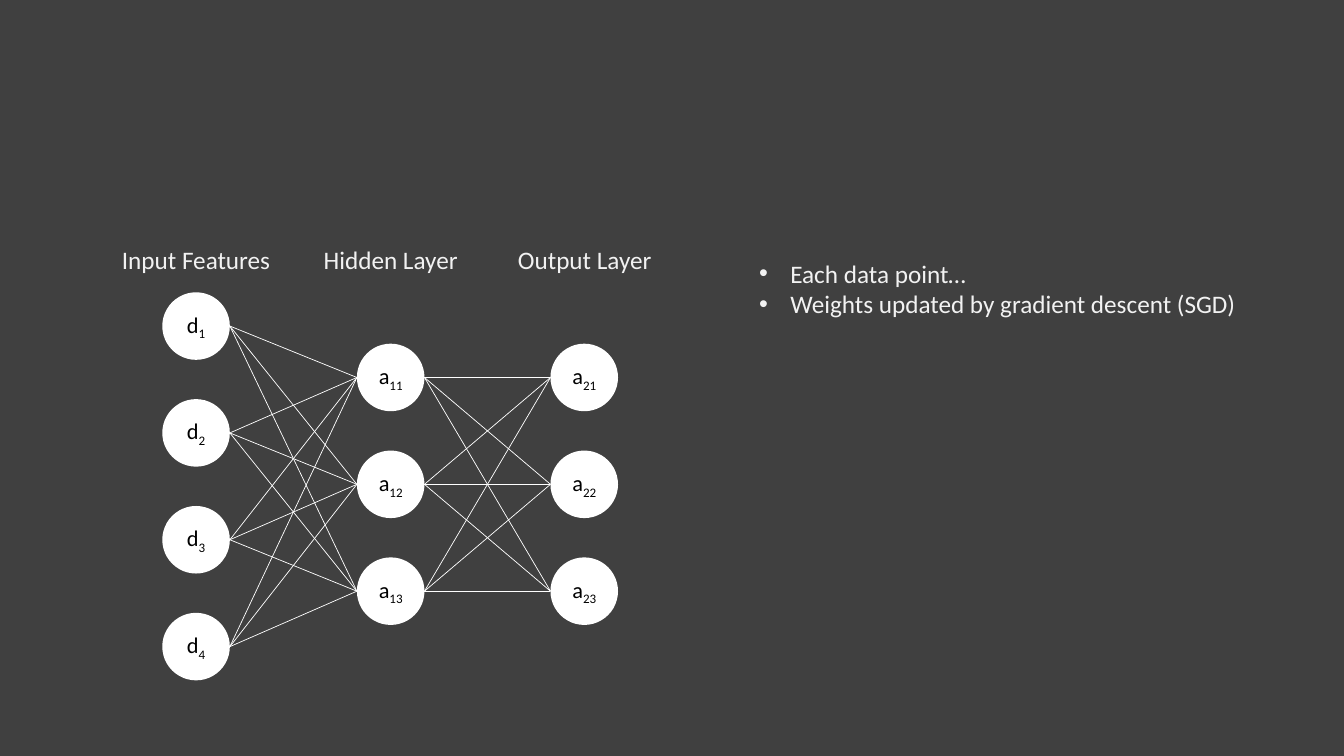
import itertools

import pptx
import pptx.dml.color
import pptx.enum.shapes
import pptx.enum.text
import pptx.oxml.xmlchemy
import pptx.util

CHARCOAL = pptx.dml.color.RGBColor(0x40, 0x40, 0x40)
WHITE = pptx.dml.color.RGBColor(0xFF, 0xFF, 0xFF)
BLACK = pptx.dml.color.RGBColor(0x00, 0x00, 0x00)
PALE = pptx.dml.color.RGBColor(0xF2, 0xF2, 0xF2)

NODE = 0.67
NODE_PITCH = 1.06
LABEL_TOP = 2.37
LABEL_HEIGHT = 0.4
BULLET_INDENT = pptx.util.Inches(0.31)

# heading, heading left, heading width, node left, first node top, node letter, subscripts
LAYERS = [
    ("Input Features", 1.1, 1.69, 1.61, 2.9, "d", ["1", "2", "3", "4"]),
    ("Hidden Layer", 3.1, 1.55, 3.54, 3.41, "a", ["11", "12", "13"]),
    ("Output Layer", 5.03, 1.54, 5.46, 3.41, "a", ["21", "22", "23"]),
]
NOTES = ["Each data point…", "Weights updated by gradient descent (SGD)"]


def add_run(paragraph, text, size, color):
    run = paragraph.add_run()
    run.text = text
    formats = {"name": "Calibri", "size": pptx.util.Pt(size)}
    for attribute, value in formats.items():
        setattr(run.font, attribute, value)
    run.font.color.rgb = color
    return run


def add_label(*box):
    """Add an empty unwrapped text box at left, top, width, height; return its text frame."""
    frame = slide.shapes.add_textbox(*map(pptx.util.Inches, box)).text_frame
    frame.word_wrap = False
    return frame


deck = pptx.Presentation()
deck.slide_width = pptx.util.Inches(13.33)
deck.slide_height = pptx.util.Inches(7.5)
slide = deck.slides.add_slide(deck.slide_layouts[6])
slide.background.fill.solid()
slide.background.fill.fore_color.rgb = CHARCOAL

# Neurons, one column per layer
columns = []
for _, _, _, left, first_top, letter, subscripts in LAYERS:
    column = []
    for row, subscript in enumerate(subscripts):
        top = first_top + row * NODE_PITCH
        neuron = slide.shapes.add_shape(
            pptx.enum.shapes.MSO_SHAPE.OVAL,
            *map(pptx.util.Inches, (left, top, NODE, NODE)),
        )
        neuron.shadow.inherit = False
        neuron.fill.solid()
        neuron.fill.fore_color.rgb = WHITE
        neuron.line.fill.background()
        neuron.text_frame.word_wrap = False
        neuron.text_frame.vertical_anchor = pptx.enum.text.MSO_ANCHOR.MIDDLE
        symbol = neuron.text_frame.paragraphs[0]
        symbol.alignment = pptx.enum.text.PP_ALIGN.CENTER
        add_run(symbol, letter, 16, BLACK)
        index = add_run(symbol, subscript, 16, BLACK)
        index.font._element.set("baseline", "-25000")
        column.append((left, top + NODE / 2))
    columns.append(column)

# Every neuron feeds every neuron of the next layer
for sources, targets in itertools.pairwise(columns):
    for (x1, y1), (x2, y2) in itertools.product(sources, targets):
        weight = slide.shapes.add_connector(
            pptx.enum.shapes.MSO_CONNECTOR.STRAIGHT,
            *map(pptx.util.Inches, (x1 + NODE, y1, x2, y2)),
        )
        weight.line.color.rgb = WHITE
        weight.line.width = pptx.util.Pt(0.5)
        weight._element.spPr.append(pptx.oxml.xmlchemy.OxmlElement("a:effectLst"))

for heading, left, width, *_ in LAYERS:
    title = add_label(left, LABEL_TOP, width, LABEL_HEIGHT).paragraphs[0]
    title.alignment = pptx.enum.text.PP_ALIGN.CENTER
    add_run(title, heading, 18, PALE)

notes = add_label(7.43, 2.51, 4.99, 1.01)
for position, note in enumerate(NOTES):
    item = notes.add_paragraph() if position else notes.paragraphs[0]
    add_run(item, note, 18, PALE)
    properties = item._p.get_or_add_pPr()
    for attribute, value in {"marL": BULLET_INDENT, "indent": -BULLET_INDENT}.items():
        properties.set(attribute, str(value))
    for tag, attribute, value in [("a:buFont", "typeface", "Arial"), ("a:buChar", "char", "•")]:
        bullet = pptx.oxml.xmlchemy.OxmlElement(tag)
        bullet.set(attribute, value)
        properties.append(bullet)

deck.save("out.pptx")
